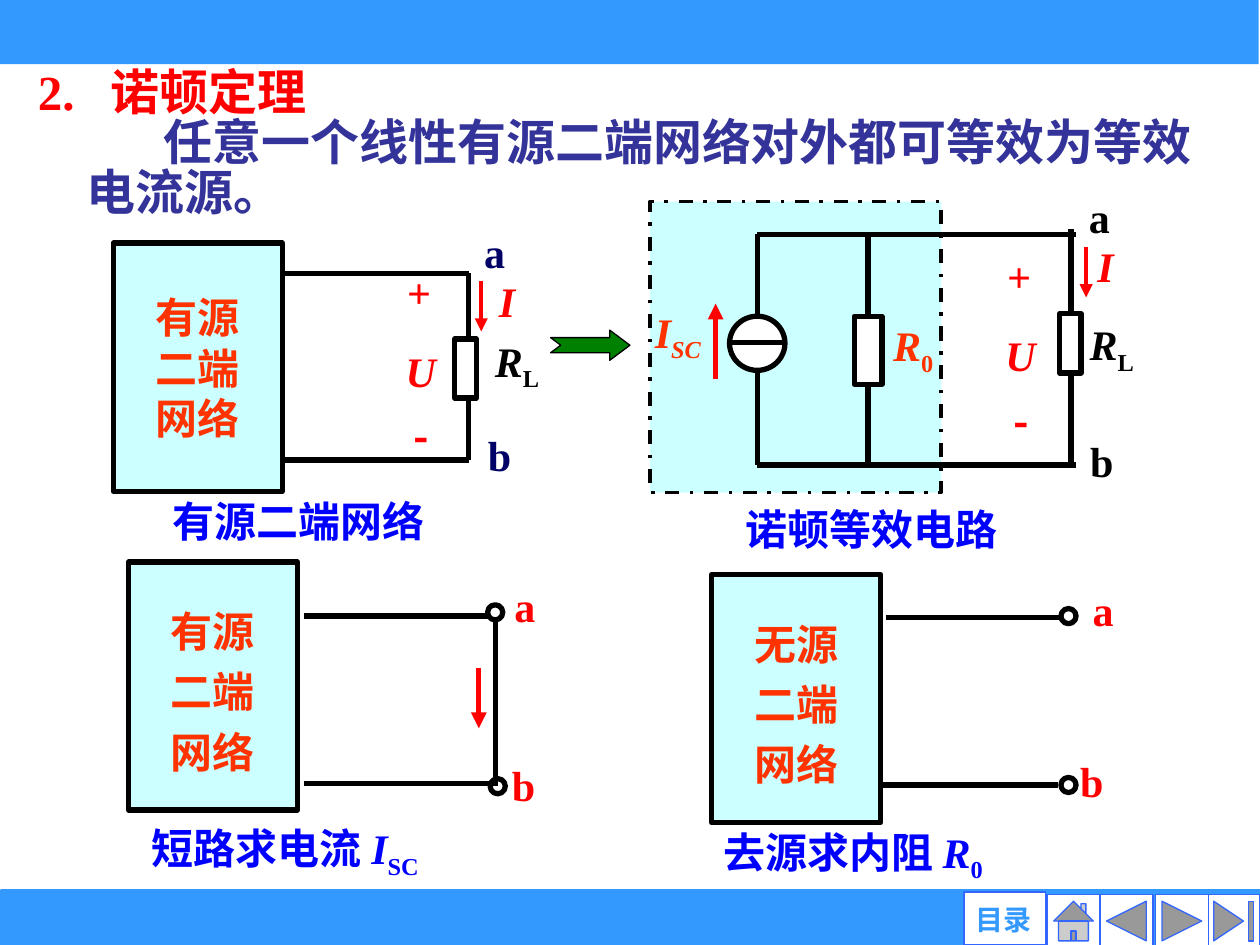
from lxml import etree
from pptx import Presentation
from pptx.dml.color import RGBColor
from pptx.enum.dml import MSO_LINE
from pptx.enum.shapes import MSO_CONNECTOR, MSO_SHAPE as Shape
from pptx.enum.text import MSO_ANCHOR as Anchor, MSO_AUTO_SIZE, PP_ALIGN as Align
from pptx.oxml.ns import qn
from pptx.util import Inches, Pt

SERIF, HAN = "Times New Roman", "Noto Sans CJK SC"
BLACK, WHITE, RED, ORANGE = "000000", "FFFFFF", "FF0000", "FF3300"
BLUE, NAVY, SKY, CYAN = "0000FF", "000066", "3399FF", "CCFFFF"
# Run styles: "i" is italic, "-" is subscript
LOAD, SHORT_CURRENT = [("R", "i"), ("L", "-")], [("I", "i"), ("SC", "i-")]


def color(value):
    return RGBColor.from_string(value)


def write(frame, paragraphs, ink=BLACK, size=24, font=SERIF, align=Align.CENTER,
          spacing=1.0, anchor=Anchor.TOP, wrap=False, margins=None):
    """Fill a frame; a paragraph is a string or a list of (text, style)."""
    frame.auto_size = MSO_AUTO_SIZE.NONE
    frame.word_wrap = wrap
    frame.vertical_anchor = anchor
    if margins is not None:
        frame.margin_left = frame.margin_right = Inches(margins)
        frame.margin_top = frame.margin_bottom = Inches(margins)
    for index, content in enumerate(paragraphs):
        para = frame.add_paragraph() if index else frame.paragraphs[0]
        para.alignment = align
        para.line_spacing = spacing
        para.space_before = Pt(0)
        for text, style in [(content, "")] if isinstance(content, str) else content:
            span = para.add_run()
            span.text = text
            span.font.name, span.font.size, span.font.bold = font, Pt(size), True
            span.font.italic = "i" in style
            span.font.color.rgb = color(ink)
            props = span.font._element
            etree.SubElement(props, qn("a:ea")).set("typeface", HAN)
            if "-" in style:
                props.set("baseline", "-25000")


def add_text(page, place, content, **style):
    box = page.shapes.add_textbox(*map(Inches, place))
    write(box.text_frame, [content], **style)


def add_figure(page, kind, place, fill=WHITE, line=BLACK, weight=3):
    figure = page.shapes.add_shape(kind, *map(Inches, place))
    figure.shadow.inherit = False
    figure.fill.solid()
    figure.fill.fore_color.rgb = color(fill)
    if weight:
        figure.line.color.rgb = color(line)
        figure.line.width = Pt(weight)
    else:
        figure.line.fill.background()
    return figure


def add_wire(page, start, end, ink=BLACK, weight=3, arrow=False):
    wire = page.shapes.add_connector(MSO_CONNECTOR.STRAIGHT, *map(Inches, start + end))
    wire.line.color.rgb = color(ink)
    wire.line.width = Pt(weight)
    if arrow:
        tail = etree.SubElement(wire.line._get_or_add_ln(), qn("a:tailEnd"))
        tail.set("type", "triangle")
    etree.SubElement(wire._element.spPr, qn("a:effectLst"))


def add_network(page, left, top, first_word, spacing):
    box = add_figure(page, Shape.RECTANGLE, (left, top, 1.34, 1.97), CYAN)
    write(box.text_frame, [first_word, "二端", "网络"], ink=ORANGE,
          spacing=spacing, anchor=Anchor.MIDDLE)


def add_terminals(page, names, ink):
    """Names are (left, top) of the labels a and b."""
    for name, place, width in zip("ab", names, (0.37, 0.39)):
        add_text(page, place + (width, 0.5), name, ink=ink, anchor=Anchor.MIDDLE)


def add_rings(page, *places):
    for place in places:
        add_figure(page, Shape.OVAL, place + (0.12, 0.12))


def add_load(page, resistor, voltage, plus, minus, arrow, current, name, plus_style=""):
    """Resistor with its voltage, current and name, each placed by left, top."""
    add_figure(page, Shape.RECTANGLE, resistor + (0.17, 0.47))
    add_text(page, voltage + (0.44, 0.5), [("U", "i")], ink=RED)
    add_text(page, plus + (0.39, 0.5), [("+", plus_style)], ink=RED)
    add_text(page, minus + (0.37, 0.5), "-", ink=RED, font=HAN)
    add_wire(page, arrow, (arrow[0], arrow[1] + 0.4), RED, 2.5, arrow=True)
    add_text(page, current + (0.33, 0.5), [("I", "i")], ink=RED)
    add_text(page, name + (0.62, 0.5), LOAD, align=Align.LEFT, wrap=True)


def add_caption(page, place, content, spacing=1.0):
    add_text(page, place, content, ink=BLUE, spacing=spacing, wrap=True)


def fill_placeholder(holder, place, text, margin, indent, **style):
    holder.left, holder.top, holder.width, holder.height = map(Inches, place)
    props = holder.text_frame.paragraphs[0]._p.get_or_add_pPr()
    props.set("marL", str(Inches(margin)))
    props.set("indent", str(Inches(indent)))
    etree.SubElement(props, qn("a:buNone"))
    write(holder.text_frame, [text], size=28, align=Align.LEFT, wrap=True, **style)


def draw_frame(page):
    # Bars and navigation buttons
    add_figure(page, Shape.RECTANGLE, (0.01, 7.08, 9.99, 0.42), SKY, SKY)
    add_figure(page, Shape.RECTANGLE, (0, -0.01, 9.99, 0.52), SKY, weight=0)
    for kind, left, top, width in (
            (Shape.ACTION_BUTTON_END, 9.58, 7.1, 0.42),
            (Shape.ACTION_BUTTON_FORWARD_OR_NEXT, 9.17, 7.1, 0.42),
            (Shape.ACTION_BUTTON_BACK_OR_PREVIOUS, 8.73, 7.1, 0.42),
            (Shape.ACTION_BUTTON_HOME, 8.31, 7.1, 0.42),
            (Shape.ACTION_BUTTON_CUSTOM, 7.65, 7.08, 0.65)):
        add_figure(page, kind, (left, top, width, 0.42), line="3366FF", weight=0.75)
    add_text(page, (7.65, 7.16, 0.63, 0.27), "目录", ink=SKY, size=16,
             font="Arial", anchor=Anchor.MIDDLE, wrap=True, margins=0)


def draw_open_network(page):
    # Passive network with open terminals
    add_network(page, 5.65, 4.56, "无源", 1.2)
    add_wire(page, (7.03, 4.9), (8.44, 4.9))
    add_wire(page, (6.99, 6.23), (8.4, 6.23))
    add_terminals(page, [(8.57, 4.59), (8.47, 5.95)], RED)
    add_rings(page, (8.42, 4.83), (8.42, 6.17))
    add_caption(page, (5.52, 6.51, 2.5, 0.5), [("去源求内阻 ", ""), ("R", "i"), ("0", "-")])


def draw_shorted_network(page):
    # Active network with shorted terminals
    add_network(page, 1.02, 4.46, "有源", 1.2)
    for height in (4.89, 6.22):
        add_wire(page, (2.41, height), (3.91, height))
    add_terminals(page, [(3.98, 4.56), (3.96, 5.98)], RED)
    add_rings(page, (3.89, 6.18), (3.87, 4.8))
    add_caption(page, (0.9, 6.48, 2.73, 0.5), [("短路求电流 ", ""), ("I", "i"), ("SC", "-")])
    add_wire(page, (3.93, 4.91), (3.93, 6.24))
    add_wire(page, (3.8, 5.3), (3.8, 5.78), RED, arrow=True)


def draw_norton_circuit(page):
    # Current source beside its inner resistance
    area = add_figure(page, Shape.RECTANGLE, (5.16, 1.6, 2.31, 2.31), CYAN, weight=2)
    area.line.dash_style = MSO_LINE.DASH_DOT
    add_figure(page, Shape.OVAL, (5.79, 2.51, 0.44, 0.43))
    for start, end in (((5.79, 2.72), (6.23, 2.72)),
                       ((6.01, 2.51), (6.01, 1.86)),
                       ((6.01, 2.94), (6.01, 3.69)),
                       ((6.89, 1.86), (6.89, 3.69)),
                       ((6.01, 1.86), (8.54, 1.86)),
                       ((6.01, 3.69), (8.54, 3.69)),
                       ((8.5, 1.82), (8.5, 3.68))):
        add_wire(page, start, end)
    add_figure(page, Shape.RECTANGLE, (6.78, 2.51, 0.22, 0.54))
    add_terminals(page, [(8.54, 1.47), (8.55, 3.41)], BLACK)
    add_wire(page, (5.68, 3.01), (5.68, 2.41), RED, arrow=True)
    add_text(page, (5.08, 2.41, 0.6, 0.5), SHORT_CURRENT, ink=ORANGE, anchor=Anchor.MIDDLE)
    add_text(page, (6.99, 2.49, 0.53, 0.5), [("R", "i"), ("0", "-")],
             ink=ORANGE, align=Align.LEFT)
    add_caption(page, (5.57, 3.75, 2.69, 0.7), "诺顿等效电路", spacing=1.5)
    add_load(page, resistor=(8.41, 2.49), voltage=(7.88, 2.57), plus=(7.89, 1.94),
             minus=(7.92, 3.09), arrow=(8.62, 1.96), current=(8.61, 1.86),
             name=(8.55, 2.48), plus_style="i")


def draw_loaded_network(page):
    # Active network feeding the load
    add_network(page, 0.9, 1.93, "有源", 1.0)
    for height in (2.17, 3.65):
        add_wire(page, (2.24, height), (3.72, height))
    add_wire(page, (3.72, 2.17), (3.72, 3.65))
    add_terminals(page, [(3.74, 1.75), (3.77, 3.36)], NAVY)
    add_caption(page, (1.07, 3.88, 2.59, 0.5), "有源二端网络")
    add_load(page, resistor=(3.61, 2.69), voltage=(3.12, 2.69), plus=(3.13, 2.07),
             minus=(3.16, 3.21), arrow=(3.82, 2.23), current=(3.86, 2.14),
             name=(3.83, 2.61))


def main():
    deck = Presentation()
    deck.slide_width, deck.slide_height = Inches(10), Inches(7.5)
    page = deck.slides.add_slide(deck.slide_layouts[1])
    draw_frame(page)
    fill_placeholder(page.shapes.title, (0.2, 0.44, 2.99, 0.57), "2.\t诺顿定理",
                     0.58, -0.58, ink=RED)
    fill_placeholder(page.placeholders[1], (0.59, 0.91, 9.14, 0.9),
                     "任意一个线性有源二端网络对外都可等效为等效电流源。",
                     0, 0.61, ink="333399", spacing=0.85)
    draw_open_network(page)
    draw_shorted_network(page)
    draw_norton_circuit(page)
    draw_loaded_network(page)
    # Equivalence arrow
    arrow = add_figure(page, Shape.NOTCHED_RIGHT_ARROW, (4.37, 2.62, 0.63, 0.24),
                       "008000", weight=0.75)
    arrow.adjustments[0], arrow.adjustments[1] = 0.5, 0.67
    deck.save("out.pptx")


if __name__ == "__main__":
    main()
